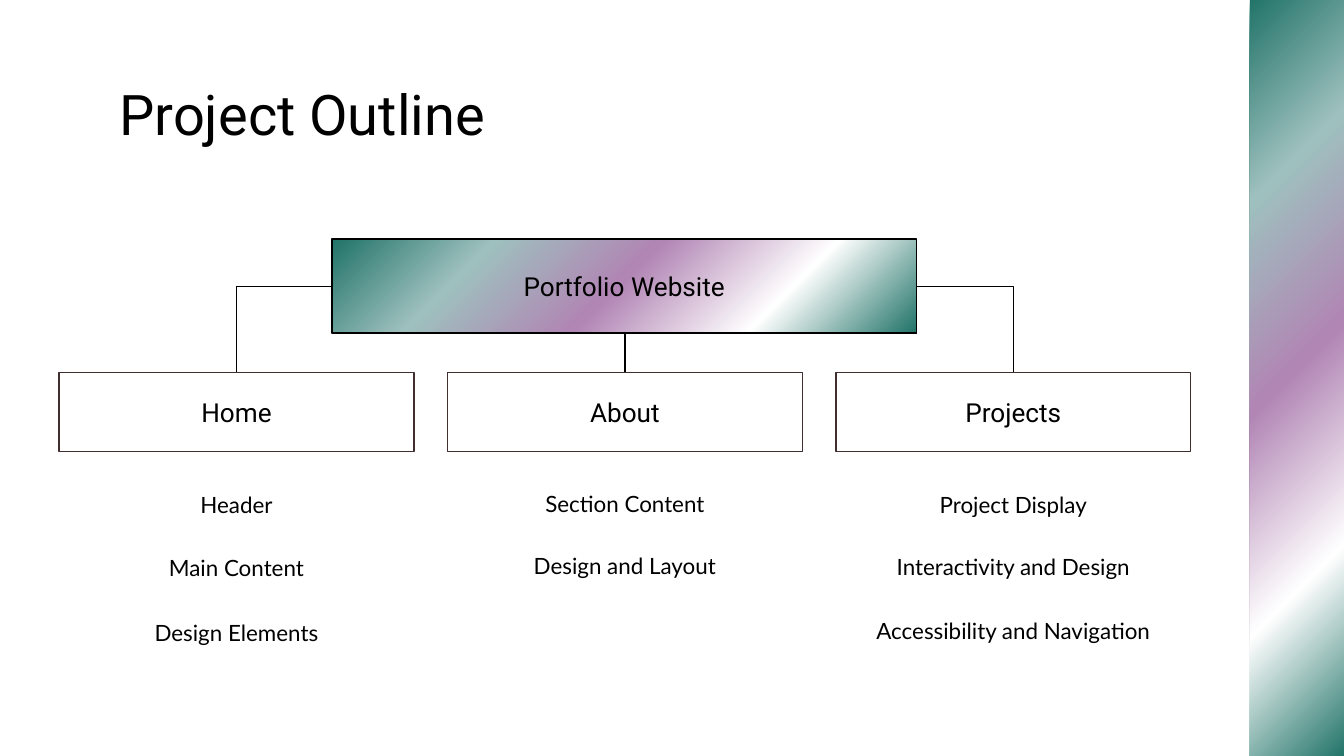
"""Build the project outline slide: a site tree with three branches."""
from dataclasses import dataclass

import pptx
import pptx.dml.color
import pptx.enum.shapes
import pptx.enum.text
import pptx.oxml
import pptx.oxml.ns
import pptx.util
from pptx.util import Inches

BLACK = "000000"
GRADIENT = [(0, "207368"), (24, "9EC0BE"), (49, "B185B4"), (75, "FFFFFF"), (100, "207368")]
LEFT, PITCH, WIDTH = 0.44, 2.89, 2.64
BOX_TOP, BOX_HEIGHT, ITEM_HEIGHT = 2.77, 0.59, 0.51
ROOT = (2.47, 1.78, 4.35, 0.7)


@dataclass
class Branch:
    name: str
    items: list[str]
    tops: list[float]


BRANCHES = [
    Branch("Home", ["Header", "Main Content", "Design Elements"], [3.5, 3.97, 4.45]),
    Branch("About", ["Section Content", "Design and Layout"], [3.49, 3.95]),
    Branch(
        "Projects",
        ["Project Display", "Interactivity and Design", "Accessibility and Navigation"],
        [3.5, 3.96, 4.44],
    ),
]


def rgb(value: str) -> pptx.dml.color.RGBColor:
    return pptx.dml.color.RGBColor.from_string(value)


def fill_gradient(sp) -> None:
    sp.fill.gradient()
    sp.fill.gradient_angle = 315
    stops = sp._element.spPr.find(".//" + pptx.oxml.ns.qn("a:gsLst"))
    for stop in list(stops):
        stops.remove(stop)
    for position, color in GRADIENT:
        stops.append(pptx.oxml.parse_xml(
            f'<a:gs {pptx.oxml.ns.nsdecls("a")} pos="{position * 1000}">'
            f'<a:srgbClr val="{color}"/></a:gs>'
        ))


def write(sp, text: str, size: float, font: str = "Roboto", inset: float = 0.02,
          centred: bool = True) -> None:
    tf = sp.text_frame
    tf.word_wrap = True
    tf.margin_left = tf.margin_right = Inches(0.1)
    tf.margin_top = tf.margin_bottom = Inches(inset)
    anchor, align = pptx.enum.text.MSO_ANCHOR, pptx.enum.text.PP_ALIGN
    tf.vertical_anchor = anchor.MIDDLE if centred else anchor.TOP
    tf.text = text
    p = tf.paragraphs[0]
    p.alignment = align.CENTER if centred else align.LEFT
    r = p.runs[0]
    r.font.name = font
    r.font.size = pptx.util.Pt(size)
    r.font.color.rgb = rgb(BLACK)


def add_rect(s, box: tuple[float, ...], line: str | None = None, gradient: bool = False):
    sp = s.shapes.add_shape(pptx.enum.shapes.MSO_SHAPE.RECTANGLE, *map(Inches, box))
    sp.shadow.inherit = False
    if gradient:
        fill_gradient(sp)
    else:
        sp.fill.background()
    if line:
        sp.line.color.rgb = rgb(line)
        sp.line.width = pptx.util.Pt(0.75)
    else:
        sp.line.fill.background()
    return sp


def add_text(s, box: tuple[float, ...], text: str, size: float, **style) -> None:
    write(s.shapes.add_textbox(*map(Inches, box)), text, size, **style)


def add_link(s, start: tuple[float, float], end: tuple[float, float]) -> None:
    kinds = pptx.enum.shapes.MSO_CONNECTOR
    bent = start[0] != end[0]
    cxn = s.shapes.add_connector(
        kinds.ELBOW if bent else kinds.STRAIGHT, *map(Inches, (*start, *end))
    )
    cxn.line.color.rgb = rgb(BLACK)
    cxn.line.width = pptx.util.Pt(0.75)
    props = cxn._element.spPr
    if bent:
        props.find(pptx.oxml.ns.qn("a:prstGeom")).set("prst", "bentConnector2")
    props.append(pptx.oxml.parse_xml(f'<a:effectLst {pptx.oxml.ns.nsdecls("a")}/>'))


def add_branch(s, branch: Branch, left: float) -> None:
    sp = add_rect(s, (left, BOX_TOP, WIDTH, BOX_HEIGHT), "412F2F")
    write(sp, branch.name, 14)
    for item, top in zip(branch.items, branch.tops):
        add_text(s, (left, top, WIDTH, ITEM_HEIGHT), item, 12, font="Lato")


def main() -> None:
    prs = pptx.Presentation()
    prs.slide_width = Inches(10)
    prs.slide_height = prs.slide_width * 9 // 16
    s = prs.slides.add_slide(prs.slide_layouts[6])

    add_rect(s, (9.3, -0.03, 0.7, 5.68), gradient=True)
    add_text(s, (0.79, 0.49, 8.43, 0.63), "Project Outline", 30, inset=0.1, centred=False)
    write(add_rect(s, ROOT, BLACK, gradient=True), "Portfolio Website", 14, inset=0.05)

    left, top, width, height = ROOT
    middle = top + height / 2
    centres = [LEFT + PITCH * i + WIDTH / 2 for i in range(len(BRANCHES))]
    starts = [(left, middle), (centres[1], top + height), (left + width, middle)]
    for i, branch in enumerate(BRANCHES):
        add_branch(s, branch, LEFT + PITCH * i)
        add_link(s, starts[i], (centres[i], BOX_TOP))

    prs.save("out.pptx")


if __name__ == "__main__":
    main()
